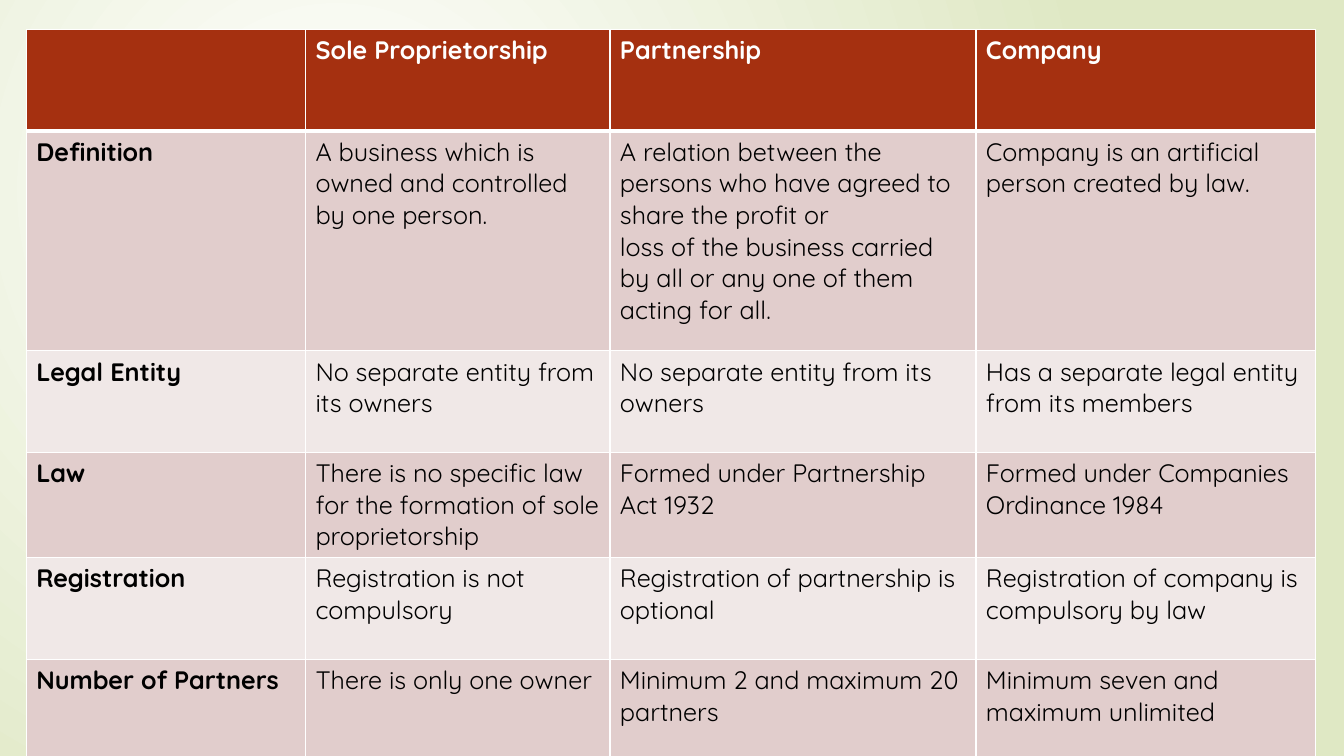
from dataclasses import dataclass

from lxml import etree
from pptx import Presentation
from pptx import util as u
from pptx.dml.color import RGBColor
from pptx.oxml.ns import qn


@dataclass(frozen=True)
class Theme:
    font: str = "Quicksand"
    size: int = 18
    head: str = "A53010"
    bands: tuple = ("E1CDCC", "F0E8E7")
    light: str = "FFFFFF"
    dark: str = "000000"
    glow: tuple = ("FFFFFF", "DFE8C4")
    thin: int = 1
    thick: int = 3


WIDTHS = (2.77, 3.02, 3.63, 3.37)
HEIGHTS = (1.01, 2.18, 1.01, 1.01, 1.01, 1.01)
ROWS = (
    ("", "Sole Proprietorship", "Partnership", "Company"),
    ("Definition",
     "A business which is owned and controlled by one person.",
     "A relation between the persons who have agreed to share the profit or\n"
     "loss of the business carried by all or any one of them acting for all.",
     "Company is an artificial person created by law."),
    ("Legal Entity",
     "No separate entity from its owners",
     "No separate entity from its owners",
     "Has a separate legal entity from its members"),
    ("Law",
     "There is no specific law for the formation of sole proprietorship",
     "Formed under Partnership Act 1932",
     "Formed under Companies Ordinance 1984"),
    ("Registration",
     "Registration is not compulsory",
     "Registration of partnership is optional",
     "Registration of company is compulsory by law"),
    ("Number of Partners",
     "There is only one owner",
     "Minimum 2 and maximum 20 partners",
     "Minimum seven and maximum unlimited"),
)


def write(frame, words, *, font, size, color, bold=False):
    frame.text = words
    for para in frame.paragraphs:
        for run in para.runs:
            run.font.name = font
            run.font.size = u.Pt(size)
            run.font.bold = bold
            run.font.color.rgb = RGBColor.from_string(color)


def edge(cell, sides, color):
    """Draw cell borders; sides maps L, R, T, B, in that order, to points."""
    props = cell._tc.get_or_add_tcPr()
    for spot, (side, width) in enumerate(sides.items()):
        line = etree.Element(qn(f"a:ln{side}"), w=str(u.Pt(width)))
        fill = etree.SubElement(line, qn("a:solidFill"))
        etree.SubElement(fill, qn("a:srgbClr"), val=color)
        props.insert(spot, line)


class Page:
    def __init__(self, slide, theme):
        self.slide = slide
        self.theme = theme

    def backdrop(self):
        """Fill the background with a round glow off the centre."""
        fill = self.slide.background.fill
        fill.gradient()
        for stop, color, place in zip(fill.gradient_stops, self.theme.glow, (0, 1)):
            stop.color.rgb = RGBColor.from_string(color)
            stop.position = place
        linear = self.slide.element.find(f".//{qn('a:lin')}")
        round_ = etree.Element(qn("a:path"), {"path": "circle"})
        etree.SubElement(round_, qn("a:fillToRect"),
                         l="50000", t="50000", r="100000", b="100000")
        linear.getparent().replace(linear, round_)

    def table(self, rows, left, top, widths, heights):
        grid = self.slide.shapes.add_table(
            len(rows), len(widths), u.Inches(left), u.Inches(top),
            u.Inches(sum(widths)), u.Inches(sum(heights))).table
        for col, width in zip(grid.columns, widths):
            col.width = u.Inches(width)
        for row, height in zip(grid.rows, heights):
            row.height = u.Inches(height)
        for r, row in enumerate(rows):
            for c, words in enumerate(row):
                self.cell(grid.cell(r, c), words, r, c)

    def cell(self, cell, words, r, c):
        look = self.theme
        head = r == 0
        color = look.head if head else look.bands[(r - 1) % 2]
        cell.fill.solid()
        cell.fill.fore_color.rgb = RGBColor.from_string(color)
        edge(cell, {"L": look.thin, "R": look.thin,
                    "T": look.thick if r == 1 else look.thin,
                    "B": look.thick if head else look.thin}, look.light)
        write(cell.text_frame, words, font=look.font, size=look.size,
              color=look.light if head else look.dark, bold=head or c == 0)


def main():
    deck = Presentation()
    deck.slide_width, deck.slide_height = u.Inches(13.33), u.Inches(7.5)
    page = Page(deck.slides.add_slide(deck.slide_layouts[6]), Theme())
    page.backdrop()
    page.table(ROWS, 0.26, 0.29, WIDTHS, HEIGHTS)
    deck.save("out.pptx")


if __name__ == "__main__":
    main()
